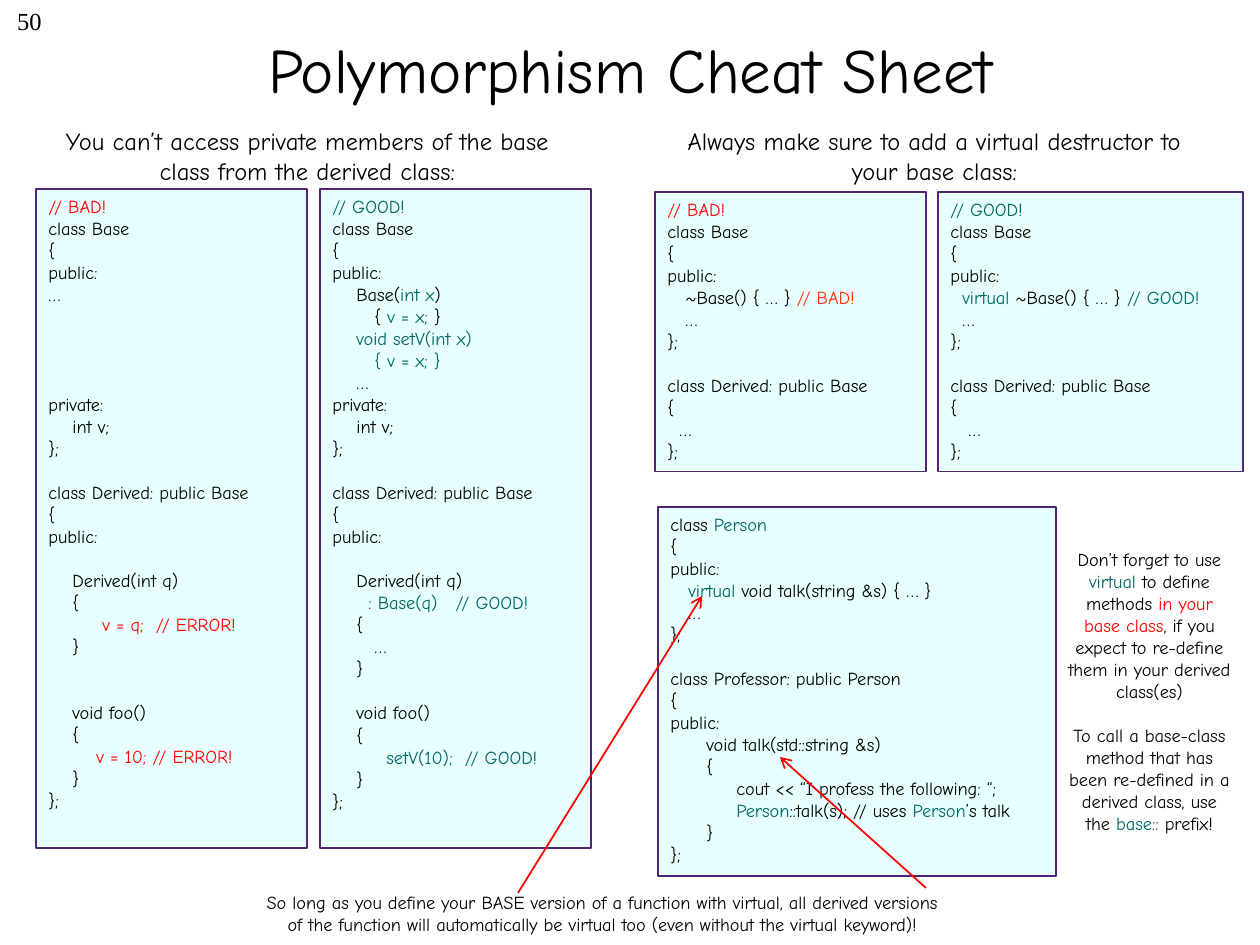
import dataclasses

import lxml.etree
import pptx
import pptx.dml.color
import pptx.enum.shapes
import pptx.enum.text
import pptx.oxml.ns
import pptx.util

PX = 914400 / 126  # EMU in one px


@dataclasses.dataclass(frozen=True)
class Theme:
    font: str = "Comic Neue"
    number_font: str = "Times New Roman"
    title_size: float = 36
    heading_size: float = 14
    code_size: float = 10.5
    black: str = "000000"
    red: str = "FF0000"
    orange: str = "FF3300"
    teal: str = "006666"
    green: str = "00664D"
    panel: str = "E7FFFF"
    border: str = "512373"
    line_height: int = 22  # px, one line of code
    space_width: int = 6  # px, one column of code


THEME = Theme()
ALIGN = pptx.enum.text.PP_ALIGN
ANCHOR = pptx.enum.text.MSO_ANCHOR


def px(value):
    return pptx.util.Emu(round(value * PX))


def rgb(value):
    return pptx.dml.color.RGBColor.from_string(value)


def red(text):
    return text, THEME.red


def teal(text):
    return text, THEME.teal


def green(text):
    return text, THEME.green


# Code: an empty line is a gap, leading spaces are an indent
BASE_HEAD = ["class Base", "{", "public:"]
PRIVATE_PART = ["private:", "    int v;", "};"]
DERIVED_HEAD = ["", "class Derived: public Base", "{"]
CONSTRUCTOR = ["public:", "", "    Derived(int q)"]

PRIVATE_BAD = [
    [red("// BAD!")], *BASE_HEAD, "…", "", "", "", "", *PRIVATE_PART,
    *DERIVED_HEAD, *CONSTRUCTOR,
    "    {", [red("         v = q;  // ERROR!")], "    }", "", "",
    "    void foo()", "    {", [red("        v = 10; // ERROR!")], "    }", "};",
]
PRIVATE_GOOD = [
    [green("// GOOD!")], *BASE_HEAD,
    ["    Base(", teal("int x"), ")"],
    ["       { ", teal("v = x; "), "}"],
    [teal("    void setV(int x)")],
    [teal("       { v = x; }")],
    "    …", *PRIVATE_PART, *DERIVED_HEAD, *CONSTRUCTOR,
    [teal("      : "), green("Base(q)   "), teal("// GOOD!")],
    "    {", "       …", "    }", "",
    "    void foo()", "    {", [teal("         setV(10);  // GOOD!")], "    }", "};",
]
DESTRUCTOR_BAD = [
    [red("// BAD!")], *BASE_HEAD,
    ["   ~Base() { … } ", ("// BAD!", THEME.orange)],
    "   …", "};", *DERIVED_HEAD, "  …", "};",
]
DESTRUCTOR_GOOD = [
    [green("// GOOD!")], *BASE_HEAD,
    [teal("  virtual "), "~Base() { … } ", teal("// GOOD!")],
    "  …", "};", *DERIVED_HEAD, "   …", "};",
]
PERSON = [
    ["class ", teal("Person")], "{", "public:",
    ["   ", teal("virtual"), " void talk(string &s) { … }"],
    "   …", "};", "",
    "class Professor: public Person", "{", "public:",
    "      void talk(std::string &s)", "      {",
    "           cout << “I profess the following: “;",
    [teal("           Person"), "::talk(s); // uses ", teal("Person"), "’s talk"],
    "      }", "};",
]
SIDE_NOTE = [
    ["Don’t forget to use ", teal("virtual"), " to define methods ",
     red("in your base class"),
     ", if you expect to re-define them in your derived class(es)"],
    "",
    ["To call a base-class method that has been re-defined in a derived class, use the ",
     teal("base:: "), "prefix!"],
]
FOOTNOTE = (
    "So long as you define your BASE version of a function with virtual, all derived versions\v"
    "of the function will automatically be virtual too (even without the virtual keyword)!"
)


def fill_line(paragraph, line, size, font):
    """Write one line, made of plain strings and (text, colour) pairs."""
    parts = [line] if isinstance(line, str) else line
    pieces = [(part, THEME.black) if isinstance(part, str) else part for part in parts]
    leading = 0
    while pieces[0][0] != pieces[0][0].lstrip(" "):
        text, color = pieces[0]
        leading += len(text) - len(text.lstrip(" "))
        pieces[0] = (text.lstrip(" "), color)
        if not pieces[0][0]:
            pieces.pop(0)
    if leading:
        properties = paragraph._p.get_or_add_pPr()
        properties.set("marL", str(px(leading * THEME.space_width)))
        properties.set("indent", "0")
    if len(pieces) == 1:
        paragraph.text = pieces[0][0]
    else:
        for text, _ in pieces:
            paragraph.add_run().text = text
    for index, run in enumerate(paragraph.runs):
        color = pieces[min(index, len(pieces) - 1)][1]
        run.font.size = pptx.util.Pt(size)
        run.font.name = font
        run.font.color.rgb = rgb(color)


def fill_text(shape, lines, size, align, anchor=ANCHOR.TOP, font=THEME.font):
    frame = shape.text_frame
    frame.word_wrap = True
    frame.vertical_anchor = anchor
    paragraph, gaps = None, 0
    for line in lines:
        if not line:
            gaps += 1
            continue
        paragraph = frame.add_paragraph() if paragraph else frame.paragraphs[0]
        paragraph.alignment = align
        if gaps:
            paragraph.space_before = px(gaps * THEME.line_height)
        fill_line(paragraph, line, size, font)
        gaps = 0


def add_label(slide, box, lines, size, align=ALIGN.CENTER, **options):
    shape = slide.shapes.add_textbox(*map(px, box))
    fill_text(shape, lines, size, align, **options)


def add_code_panel(slide, box, lines):
    shape = slide.shapes.add_shape(
        pptx.enum.shapes.MSO_SHAPE.RECTANGLE, *map(px, box))
    shape.shadow.inherit = False
    shape.fill.solid()
    shape.fill.fore_color.rgb = rgb(THEME.panel)
    shape.line.color.rgb = rgb(THEME.border)
    shape.line.width = pptx.util.Pt(0.75)
    fill_text(shape, lines, THEME.code_size, ALIGN.LEFT)


def add_arrow(slide, start, end):
    connector = slide.shapes.add_connector(
        pptx.enum.shapes.MSO_CONNECTOR.STRAIGHT, *map(px, start + end))
    connector.line.color.rgb = rgb(THEME.red)
    connector.line.width = pptx.util.Pt(1)
    name = pptx.oxml.ns.qn
    lxml.etree.SubElement(connector.line._get_or_add_ln(), name("a:tailEnd"), type="arrow")
    lxml.etree.SubElement(connector._element.spPr, name("a:effectLst"))


def main():
    presentation = pptx.Presentation()
    presentation.slide_width = px(1260)
    presentation.slide_height = px(945)
    slide = presentation.slides.add_slide(presentation.slide_layouts[6])

    # Title and slide number
    add_label(slide, (95, 0, 1071, 137), ["Polymorphism Cheat Sheet"],
              THEME.title_size, anchor=ANCHOR.MIDDLE)
    add_label(slide, (0, 0, 54, 60), ["50"], THEME.heading_size,
              align=ALIGN.RIGHT, font=THEME.number_font)

    # Column headings
    headings = [
        (26, "You can’t access private members of the base class from the derived class:"),
        (653, "Always make sure to add a virtual destructor to your base class:"),
    ]
    for left, heading in headings:
        add_label(slide, (left, 120, 563, 72), [heading], THEME.heading_size)

    # Code panels and the note beside them
    add_code_panel(slide, (36, 189, 271, 659), PRIVATE_BAD)
    add_code_panel(slide, (320, 189, 271, 659), PRIVATE_GOOD)
    add_code_panel(slide, (655, 192, 271, 280), DESTRUCTOR_BAD)
    add_code_panel(slide, (938, 192, 305, 280), DESTRUCTOR_GOOD)
    add_label(slide, (1055, 542, 189, 347), SIDE_NOTE, THEME.code_size)
    add_code_panel(slide, (658, 507, 398, 369), PERSON)

    # Footnote with arrows to the two talk functions
    add_label(slide, (195, 885, 815, 57), [FOOTNOTE], THEME.code_size)
    add_arrow(slide, (518, 893), (702, 596))
    add_arrow(slide, (926, 888), (780, 757))

    presentation.save("out.pptx")


if __name__ == "__main__":
    main()
